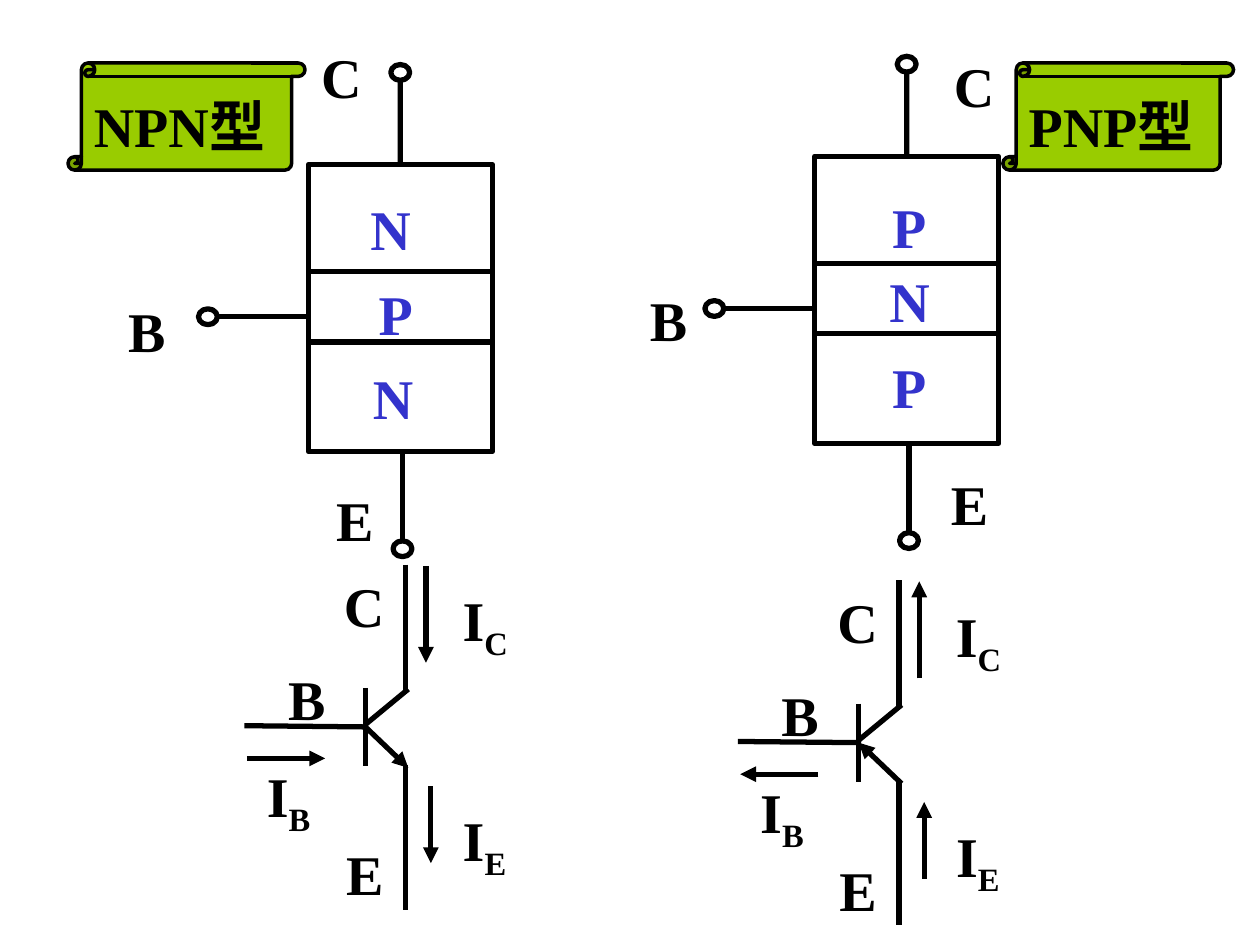
from dataclasses import dataclass

from lxml import etree
from pptx import Presentation
from pptx.dml.color import RGBColor
from pptx.enum.shapes import MSO_CONNECTOR, MSO_SHAPE
from pptx.enum.text import MSO_ANCHOR, PP_ALIGN
from pptx.oxml.ns import qn
from pptx.util import Pt

STRAIGHT = MSO_CONNECTOR.STRAIGHT
RECTANGLE, OVAL, SCROLL = MSO_SHAPE.RECTANGLE, MSO_SHAPE.OVAL, MSO_SHAPE.VERTICAL_SCROLL
MIDDLE = MSO_ANCHOR.MIDDLE
LEFT, CENTER = PP_ALIGN.LEFT, PP_ALIGN.CENTER
TOP_SIDE = 0


@dataclass(frozen=True)
class Theme:
    font: str = "Times New Roman"
    size: float = 32
    ink: RGBColor = RGBColor(0x00, 0x00, 0x00)
    layer: RGBColor = RGBColor(0x33, 0x33, 0xCC)
    banner: RGBColor = RGBColor(0x99, 0xCC, 0x00)
    line: float = 3
    banner_line: float = 2


class TransistorSlide:
    """Draws transistor structures and circuit symbols on one slide."""

    def __init__(self, slide, theme):
        self.slide = slide
        self.theme = theme

    def outline(self, kind, left, top, width, height, weight):
        shape = self.slide.shapes.add_shape(kind, Pt(left), Pt(top), Pt(width), Pt(height))
        shape.shadow.inherit = False
        shape.fill.background()
        shape.line.color.rgb = self.theme.ink
        shape.line.width = Pt(weight)
        return shape

    def set_text(self, shape, text, color, align, subscript=""):
        frame = shape.text_frame
        frame.word_wrap = False
        frame.vertical_anchor = MIDDLE
        frame.text = text
        paragraph = frame.paragraphs[0]
        paragraph.alignment = align
        if subscript:
            run = paragraph.add_run()
            run.text = subscript
            run._r.get_or_add_rPr().set("baseline", "-25000")
        for run in paragraph.runs:
            run.font.name = self.theme.font
            run.font.size = Pt(self.theme.size)
            run.font.bold = True
            run.font.color.rgb = color

    def label(self, text, center, color=None, subscript=""):
        width, height = (60, 51) if subscript else (40, 46)
        x, y = center
        box = self.slide.shapes.add_textbox(
            Pt(x - width / 2), Pt(y - height / 2), Pt(width), Pt(height))
        self.set_text(box, text, color or self.theme.ink, CENTER, subscript)

    def banner(self, text, left, width):
        shape = self.outline(SCROLL, left, 36, width, 61.2, self.theme.banner_line)
        shape.fill.solid()
        shape.fill.fore_color.rgb = self.theme.banner
        self.set_text(shape, text, self.theme.ink, LEFT)
        shape.text_frame.margin_top = Pt(9.6)

    def wire(self, start, end, arrow=False):
        connector = self.slide.shapes.add_connector(
            STRAIGHT, *(Pt(value) for value in (*start, *end)))
        connector.line.color.rgb = self.theme.ink
        connector.line.width = Pt(self.theme.line)
        properties = connector._element.spPr
        if arrow:
            tail = etree.SubElement(properties.find(qn("a:ln")), qn("a:tailEnd"))
            tail.set("type", "triangle")
        etree.SubElement(properties, qn("a:effectLst"))
        return connector

    def terminal(self, x, y):
        self.outline(OVAL, x - 5.4, y - 4.5, 10.8, 9, self.theme.line)

    def structure(self, dx, dy, layers, labels):
        top = 94 + dy
        blocks = []
        for height in (61.2, 40.3, 62.6):
            blocks.append(self.outline(RECTANGLE, 176.2 + dx, top, 105.1, height, self.theme.line))
            top += height
        for x, y in ((228.7, 41.4), (230, 313.6), (118.8, 181)):
            self.terminal(x + dx, y + dy)
        collector = self.wire((228.7 + dx, 45.9 + dy), (228.7 + dx, 94 + dy))
        collector.end_connect(blocks[0], TOP_SIDE)
        self.wire((230 + dx, top), (230 + dx, 309.1 + dy))
        self.wire((124.2 + dx, 181 + dy), (176.2 + dx, 181 + dy))
        for text, center in layers:
            self.label(text, center, self.theme.layer)
        for text, center in labels:
            self.label(text, center)

    def symbol(self, dx, dy, reverse):
        def place(points):
            return [(x + dx, y + dy) for x, y in points]

        wires = (
            ((139.7, 414.7), (210.2, 415.4)),
            ((208.8, 393.1), (208.8, 437.8)),
            ((208.8, 414), (233.3, 393.8)),
            ((231.8, 322.6), (231.8, 395.3)),
            ((231.8, 437), (231.8, 519.8)),
        )
        arrows = (
            ((208.8, 415.4), (233.3, 438.8)),
            ((141.1, 433.4), (185.8, 433.4)),
            ((246.2, 449.3), (246.2, 493.2)),
            ((243.4, 323.3), (243.4, 378.7)),
        )
        labels = (
            ("B", "", (175.3, 399)), ("E", "", (208.4, 499)), ("C", "", (208.1, 345.7)),
            ("I", "B", (164.9, 457.2)), ("I", "E", (276.8, 482.4)), ("I", "C", (277.2, 356.4)),
        )
        for points in wires:
            self.wire(*place(points))
        for points in arrows:
            self.wire(*place(points[::-1] if reverse else points), arrow=True)
        for text, subscript, center in labels:
            self.label(text, place([center])[0], subscript=subscript)


def main():
    presentation = Presentation()
    presentation.slide_width, presentation.slide_height = Pt(720), Pt(540)
    slide = presentation.slides.add_slide(presentation.slide_layouts[6])
    page = TransistorSlide(slide, Theme())

    page.structure(
        0, 0,
        (("N", (223.2, 130.4)), ("P", (226.1, 178.7)), ("N", (224.6, 226.9))),
        (("B", (83.9, 188.8)), ("E", (202.7, 296.8)), ("C", (195.1, 43.3))))
    page.banner("NPN型", 38.9, 135.4)
    page.structure(
        289.4, -4.7,
        (("P", (519.5, 129)), ("N", (519.8, 171.5)), ("P", (519.5, 220.4))),
        (("B", (382, 182.3)), ("E", (554, 287.4)), ("C", (556.6, 48.4))))
    page.banner("PNP型", 573.1, 131.8)

    page.symbol(0, 0, reverse=False)
    page.symbol(281.9, 9, reverse=True)
    presentation.save("out.pptx")


if __name__ == "__main__":
    main()
